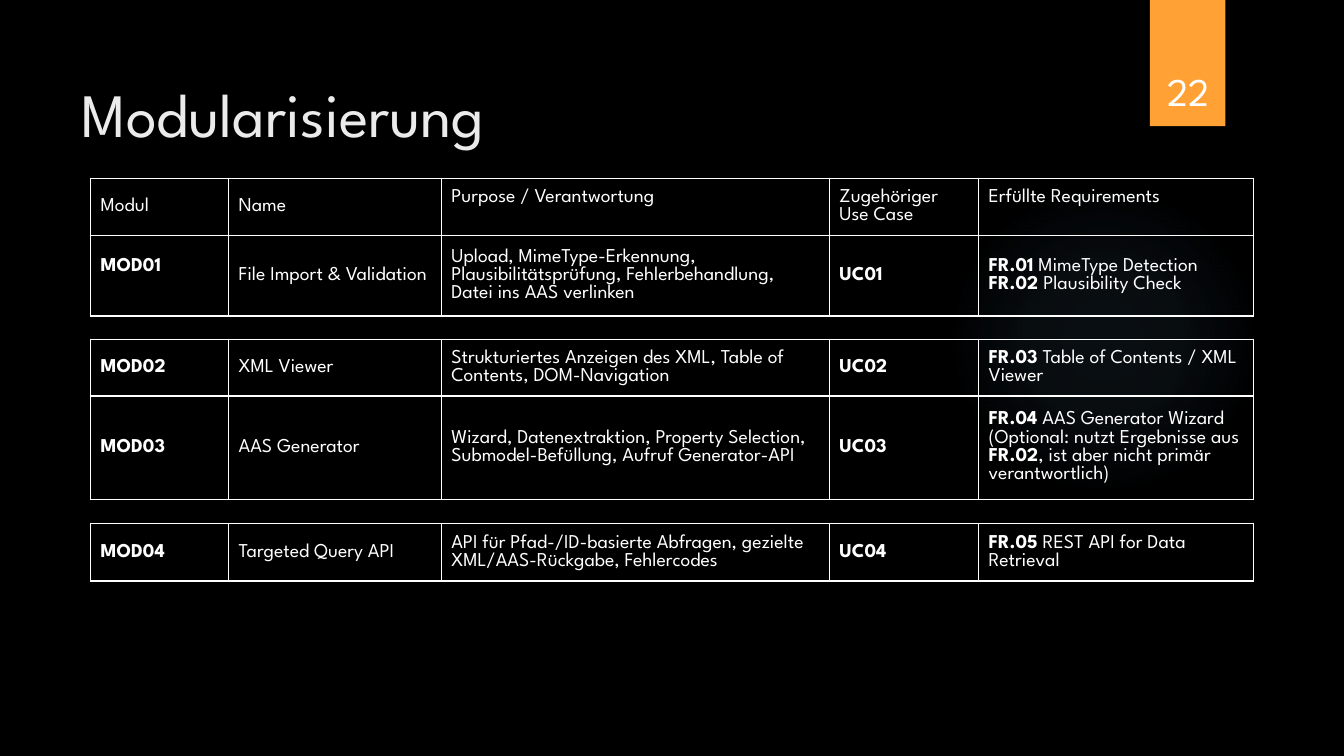
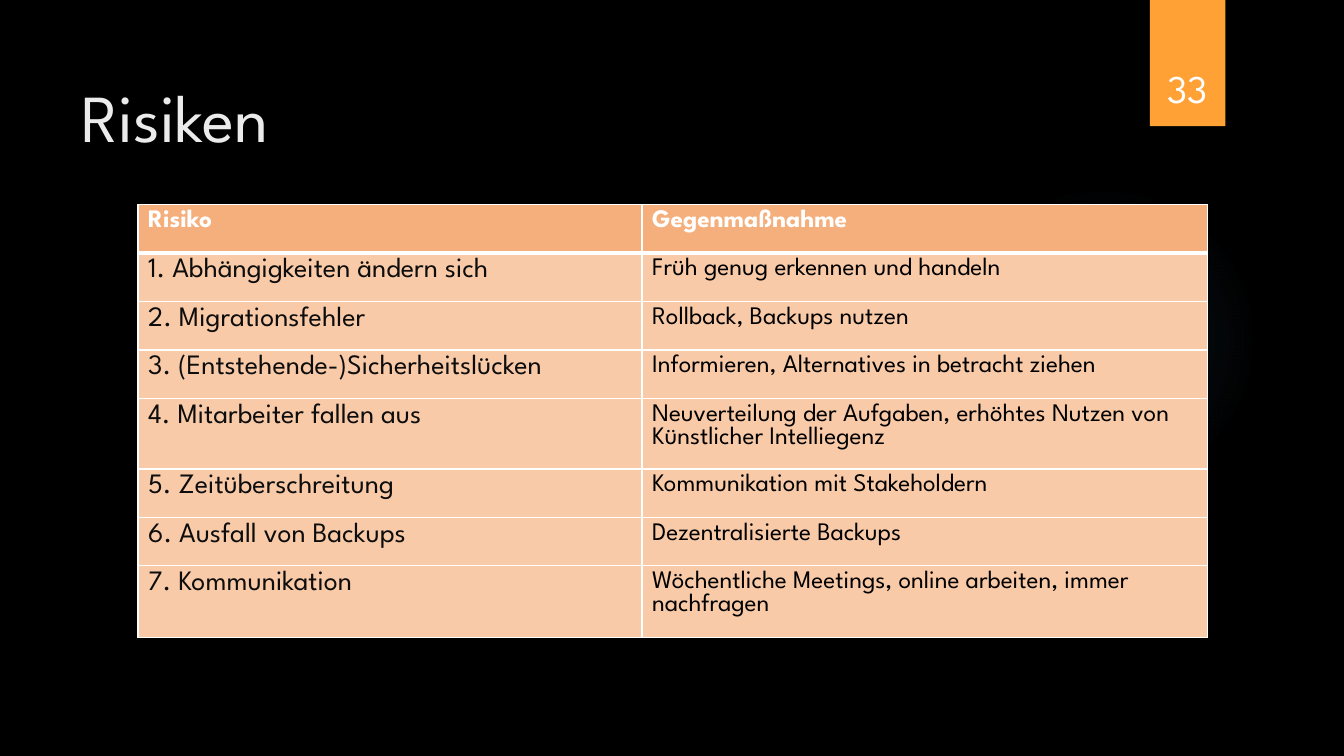
from lxml import etree
from pptx import Presentation
from pptx.dml.color import RGBColor
from pptx.enum import shapes as sh, text as tx
from pptx.oxml import parse_xml
from pptx.util import Cm, Pt

FONT = "League Spartan"
BLACK = RGBColor(0x00, 0x00, 0x00)
WHITE = RGBColor(0xFF, 0xFF, 0xFF)
PALE = RGBColor(0xEB, 0xEB, 0xEB)
INK = RGBColor(0x0D, 0x0D, 0x0D)
ORANGE = RGBColor(0xFF, 0xA1, 0x34)
PEACH = RGBColor(0xF5, 0xAF, 0x7C)
CREAM = RGBColor(0xF9, 0xCA, 0xA7)
GLOW = RGBColor(0x7A, 0xC4, 0xF0)
NS = "http://schemas.openxmlformats.org/drawingml/2006/main"
MID, TOP = tx.MSO_ANCHOR.MIDDLE, tx.MSO_ANCHOR.TOP


def put(frame, words, size, color, align=tx.PP_ALIGN.LEFT):
    """Fill a frame; a line break starts a paragraph, ** toggles bold."""
    frame.word_wrap = True
    for i, line in enumerate(words.split("\n")):
        para = frame.paragraphs[0] if i == 0 else frame.add_paragraph()
        para.alignment = align
        for j, part in enumerate(line.split("**")):
            if part:
                run = para.add_run()
                run.text = part
                look = {"name": FONT, "size": Pt(size), "bold": j % 2 == 1}
                for key, val in look.items():
                    setattr(run.font, key, val)
                run.font.color.rgb = color


def grid(slide, left, top, cols, rows, anchor, head=1):
    """Add a bordered table of (height, [(words, size, color, fill)]) rows;
    head is the weight of the rule below the first row."""
    frame = slide.shapes.add_table(
        len(rows), len(cols), Cm(left), Cm(top),
        Cm(sum(cols)), Cm(sum(high for high, _ in rows)))
    table = frame.table
    table.first_row = table.horz_banding = False
    for col, wide in zip(table.columns, cols):
        col.width = Cm(wide)
    for r, (high, cells) in enumerate(rows):
        table.rows[r].height = Cm(high)
        for c, (words, size, color, fill) in enumerate(cells):
            cell = table.cell(r, c)
            cell.vertical_anchor = anchor
            put(cell.text_frame, words, size, color)
            props = cell._tc.get_or_add_tcPr()
            for side in "LRTB":
                thick = (r, side) in ((0, "B"), (1, "T"))
                line = etree.SubElement(props, f"{{{NS}}}ln{side}",
                                        w=str(Pt(head if thick else 1)))
                paint = etree.SubElement(line, f"{{{NS}}}solidFill")
                etree.SubElement(paint, f"{{{NS}}}srgbClr", val=str(WHITE))
            if fill is None:
                cell.fill.background()
            else:
                cell.fill.solid()
                cell.fill.fore_color.rgb = fill
    return table


deck = Presentation()
deck.slide_width, deck.slide_height = Cm(33.87), Cm(19.05)

stops = "".join(
    f'<a:gs pos="{pos}000"><a:srgbClr val="{GLOW}">'
    f'<a:alpha val="{alpha}000"/></a:srgbClr></a:gs>'
    for pos, alpha in ((0, 7), (36, 6), (69, 0)))
haze = (f'<a:gradFill xmlns:a="{NS}" rotWithShape="1"><a:gsLst>{stops}</a:gsLst>'
        '<a:path path="circle"><a:fillToRect l="50000" t="50000" r="50000" '
        'b="50000"/></a:path></a:gradFill>')

# Shared frame: background, glow, title, page band
pages = []
for title, size, page, x, y in (("Modularisierung", 44, "22", 28.78, 0.89),
                                ("Risiken", 48, "33", 28.75, 0.81)):
    slide = deck.slides.add_slide(deck.slide_layouts[6])
    pages.append(slide)
    slide.background.fill.solid()
    slide.background.fill.fore_color.rgb = BLACK

    glow = slide.shapes.add_shape(sh.MSO_SHAPE.OVAL, Cm(23.9), Cm(4.65),
                                  Cm(7.82), Cm(7.82))
    band = slide.shapes.add_shape(sh.MSO_SHAPE.RECTANGLE, Cm(28.98), Cm(0),
                                  Cm(1.9), Cm(3.18))
    for shape in (glow, band):
        shape.shadow.inherit = False
        shape.line.fill.background()
    glow._element.spPr.find(f"{{{NS}}}prstGeom").addnext(parse_xml(haze))
    band.fill.solid()
    band.fill.fore_color.rgb = ORANGE

    box = slide.shapes.add_textbox(Cm(1.8), Cm(1.78), Cm(26.15), Cm(2))
    put(box.text_frame, title, size, PALE)
    box = slide.shapes.add_textbox(Cm(x), Cm(y), Cm(2.34), Cm(2.13))
    box.text_frame.vertical_anchor = tx.MSO_ANCHOR.BOTTOM
    put(box.text_frame, page, 28, WHITE, tx.PP_ALIGN.CENTER)

# Modules: one single-row table each, as (top, lines, raised columns, cells)
LINE, PAD = 0.46, 0.25
mods = [
    (4.49, 2, (2, 4),
     ["Modul", "Name", "Purpose / Verantwortung", "Zugehöriger Use Case",
      "Erfüllte Requirements"]),
    (5.93, 3, (0,),
     ["**MOD01**", "File Import & Validation",
      "Upload, MimeType-Erkennung, Plausibilitätsprüfung, Fehlerbehandlung, "
      "Datei ins AAS verlinken", "**UC01**",
      "**FR.01** MimeType Detection\n**FR.02** Plausibility Check"]),
    (8.55, 2, (),
     ["**MOD02**", "XML Viewer",
      "Strukturiertes Anzeigen des XML, Table of Contents, DOM-Navigation",
      "**UC02**", "**FR.03** Table of Contents / XML Viewer"]),
    (9.96, 4, (),
     ["**MOD03**", "AAS Generator",
      "Wizard, Datenextraktion, Property Selection, Submodel-Befüllung, "
      "Aufruf Generator-API", "**UC03**",
      "**FR.04** AAS Generator Wizard (Optional: nutzt Ergebnisse aus "
      "**FR.02**, ist aber nicht primär verantwortlich)"]),
    (13.2, 2, (),
     ["**MOD04**", "Targeted Query API",
      "API für Pfad-/ID-basierte Abfragen, gezielte XML/AAS-Rückgabe, "
      "Fehlercodes", "**UC04**", "**FR.05** REST API for Data Retrieval"]),
]
for top, lines, raised, cells in mods:
    row = (lines * LINE + PAD, [(words, 14, WHITE, None) for words in cells])
    table = grid(pages[0], 2.28, top, (3.48, 5.36, 9.78, 3.76, 6.93), [row], MID)
    for c in raised:
        table.cell(0, c).margin_bottom = Cm(PAD / 2 + LINE)

# Risks
risks = [
    (1.22, "1. Abhängigkeiten ändern sich", "Früh genug erkennen und handeln"),
    (1.22, "2. Migrationsfehler", "Rollback, Backups nutzen"),
    (1.22, "3. (Entstehende-)Sicherheitslücken",
     "Informieren, Alternatives in betracht ziehen"),
    (1.43, "4. Mitarbeiter fallen aus",
     "Neuverteilung der Aufgaben, erhöhtes Nutzen von Künstlicher Intelliegenz"),
    (1.22, "5. Zeitüberschreitung", "Kommunikation mit Stakeholdern"),
    (1.22, "6. Ausfall von Backups", "Dezentralisierte Backups"),
    (1.8, "7. Kommunikation",
     "Wöchentliche Meetings, online arbeiten, immer nachfragen"),
]
rows = [(1.22, [(f"**{name}**", 18, WHITE, PEACH)
                for name in ("Risiko", "Gegenmaßnahme")])]
rows += [(high, [(risk, 20, INK, CREAM), (plan, 18, BLACK, CREAM)])
         for high, risk, plan in risks]
grid(pages[1], 3.48, 5.16, (12.7, 14.25), rows, TOP, head=3)

deck.save("out.pptx")
